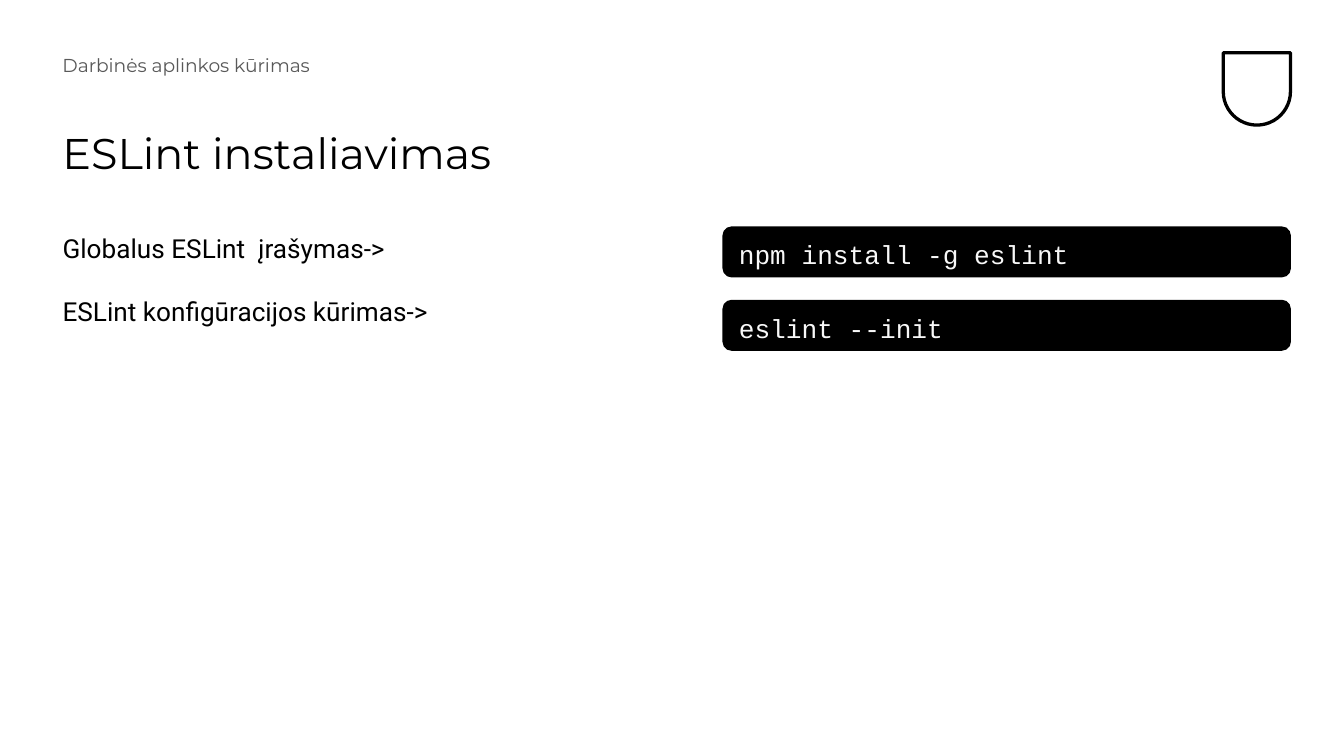
from dataclasses import dataclass

from pptx import Presentation
from pptx.dml.color import RGBColor
from pptx.enum import shapes as kinds, text as txt
from pptx.util import Pt


@dataclass(frozen=True)
class Theme:
    ink: str = "000000"
    grey: str = "595959"
    pale: str = "F8F8F8"
    paper: str = "FFFFFF"
    head: int = 23
    label: int = 10
    body: int = 14


theme = Theme()
deck = Presentation()
deck.slide_width, deck.slide_height = Pt(720), Pt(405)
slide = deck.slides.add_slide(deck.slide_layouts[6])
slide.background.fill.solid()
slide.background.fill.fore_color.rgb = RGBColor.from_string(theme.paper)


def write(shape, lines, font, size, color, pad, anchor, space=1, gap=0):
    """Fill a shape with one paragraph a line."""
    frame = shape.text_frame
    frame.word_wrap = True
    frame.vertical_anchor = anchor
    frame.margin_left = frame.margin_right = Pt(pad[0])
    frame.margin_top = frame.margin_bottom = Pt(pad[1])
    for i, line in enumerate(lines):
        para = frame.add_paragraph() if i else frame.paragraphs[0]
        para.alignment = txt.PP_ALIGN.LEFT
        para.line_spacing = space
        para.space_before = Pt(gap if i else 0)
        run = para.add_run()
        run.text = line
        run.font.name, run.font.size = font, Pt(size)
        run.font.color.rgb = RGBColor.from_string(color)


def draw(kind, left, top, width, height, fill, line):
    """Add a flat preset shape with a black outline."""
    shape = slide.shapes.add_shape(kind, Pt(left), Pt(top), Pt(width), Pt(height))
    shape.shadow.inherit = False
    shape.fill.solid()
    shape.fill.fore_color.rgb = RGBColor.from_string(fill)
    shape.line.color.rgb = RGBColor.from_string(theme.ink)
    shape.line.width = Pt(line)
    return shape


# Plain shield in the corner
shield = draw(kinds.MSO_SHAPE.ROUND_2_SAME_RECTANGLE, 655.3, 28.2, 36, 38.8, theme.paper, 1.75)
shield.adjustments[0] = 0.5
shield.rotation = 180

# Title, section label and steps
left, row = 28.1, 121.7
pad = (5.4, 2.7)
top, mid = txt.MSO_ANCHOR.TOP, txt.MSO_ANCHOR.MIDDLE
steps = ["Globalus ESLint  įrašymas->", "ESLint konfigūracijos kūrimas->"]
blocks = [
    ((67, 607, 32.4), ["ESLint instaliavimas"], "Montserrat", theme.head, theme.ink, mid, 0.9, 0),
    ((27.4, 332, 26.6), ["Darbinės aplinkos kūrimas"], "Montserrat", theme.label, theme.grey, top, 0.9, 0),
    ((row, 303.8, 262), steps, "Roboto", theme.body, theme.ink, top, 1, 17.3),
]
for (y, width, height), lines, font, size, color, anchor, space, gap in blocks:
    box = slide.shapes.add_textbox(Pt(left), Pt(y), Pt(width), Pt(height))
    write(box, lines, font, size, color, pad, anchor, space, gap)

# Command bars
for i, code in enumerate(["npm install -g eslint", "eslint --init"]):
    bar = draw(kinds.MSO_SHAPE.ROUNDED_RECTANGLE, 387.4, row + i * 39.3, 303.8, 26.6, theme.ink, 0.75)
    bar.adjustments[0] = 0.17
    write(bar, [code], "Courier New", theme.body, theme.pale, (7.2, 7.2), mid, 1.15)

deck.save("out.pptx")
